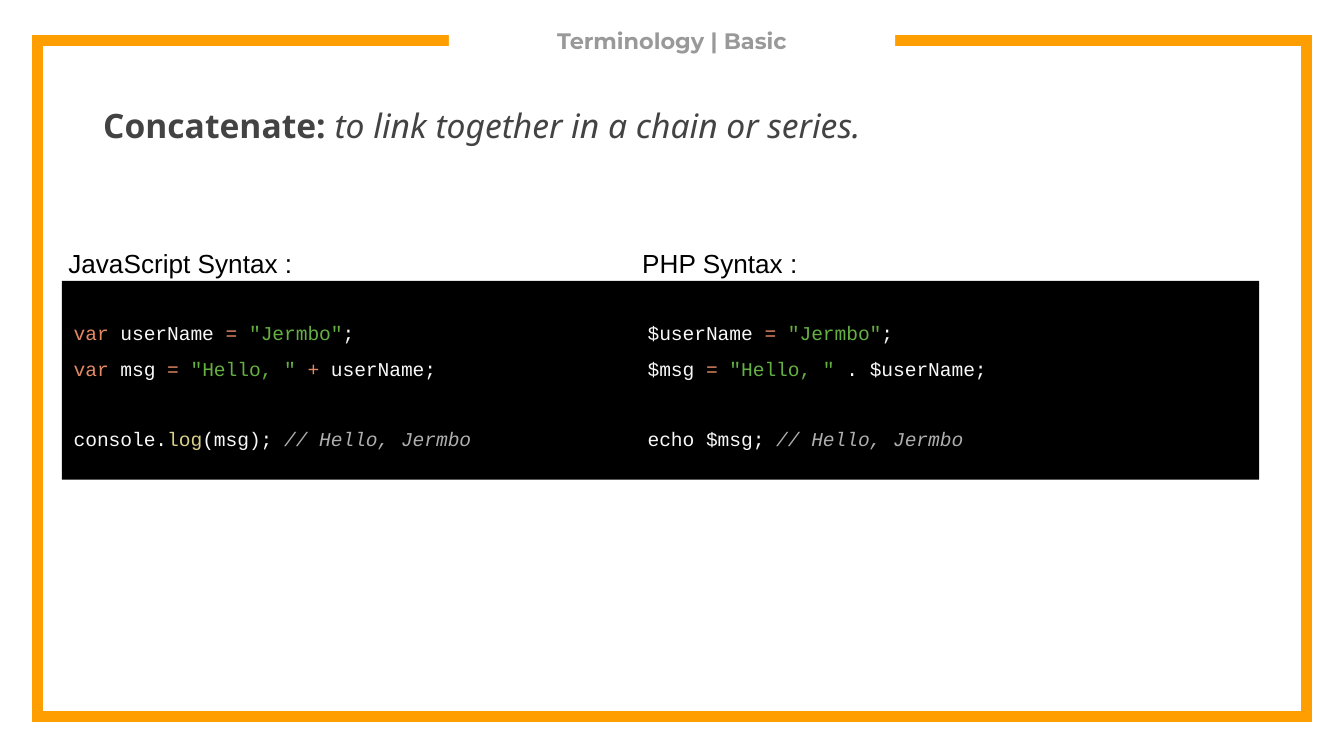
from lxml.etree import SubElement
from pptx import Presentation
from pptx.dml.color import RGBColor
from pptx.enum.shapes import MSO_SHAPE
from pptx.enum.text import PP_ALIGN
from pptx.oxml.ns import qn
from pptx.util import Inches, Pt

COLORS = {
    "frame": "FF9E00", "white": "FFFFFF", "black": "000000",
    "title": "999999", "body": "434343",
    "key": "E28964", "plain": "F8F8F8", "text": "65B042",
    "call": "DAD085", "note": "AEAEAE",
}

# Code as (color, text) tokens; a newline is a line break
JS = [
    ("key", "var"), ("plain", " userName "), ("key", "="), ("plain", " "),
    ("text", '"Jermbo"'), ("plain", ";\n"),
    ("key", "var"), ("plain", " msg "), ("key", "="), ("plain", " "),
    ("text", '"Hello, "'), ("plain", " "), ("key", "+"),
    ("plain", " userName;\n\nconsole."), ("call", "log"),
    ("plain", "(msg); "), ("note", "// Hello, Jermbo"),
]
PHP = [
    ("plain", "$userName "), ("key", "="), ("plain", " "),
    ("text", '"Jermbo"'), ("plain", ";\n$msg "), ("key", "="),
    ("plain", " "), ("text", '"Hello, "'),
    ("plain", " . $userName;\n\necho $msg; "), ("note", "// Hello, Jermbo"),
]
MONO, SIZE = "Courier New", 10.5


def color(name):
    return RGBColor.from_string(COLORS[name])


def add_run(para, text, font, size, tint, bold=False, italic=False):
    run = para.add_run()
    run.text = text
    run.font.name = font
    run.font.size = Pt(size)
    run.font.color.rgb = color(tint)
    run.font.bold = bold
    run.font.italic = italic


def add_break(para):
    para.add_line_break()
    props = SubElement(para._p[-1], qn("a:rPr"), sz=str(int(SIZE * 100)))
    SubElement(props, qn("a:latin"), typeface=MONO)


def add_box(slide, *place):
    frame = slide.shapes.add_textbox(*map(Inches, place)).text_frame
    frame.word_wrap = True
    frame.margin_left = frame.margin_right = Inches(0.1)
    frame.margin_top = frame.margin_bottom = Inches(0.1)
    return frame


def add_rect(slide, fill, *place):
    rect = slide.shapes.add_shape(MSO_SHAPE.RECTANGLE, *map(Inches, place))
    rect.shadow.inherit = False
    rect.fill.solid()
    rect.fill.fore_color.rgb = color(fill)
    rect.line.fill.background()
    return rect


def add_frame(slide):
    points = [(3.4, 0.3), (0.28, 0.3), (0.28, 5.33),
              (9.72, 5.33), (9.72, 0.3), (6.61, 0.3)]
    points = [(Inches(x), Inches(y)) for x, y in points]
    pen = slide.shapes.build_freeform(*points[0])
    pen.add_line_segments(points[1:], close=False)
    shape = pen.convert_to_shape()
    shape.shadow.inherit = False
    shape.fill.background()
    shape.line.color.rgb = color("frame")
    shape.line.width = Pt(6)
    # Sharp corners
    line = shape._element.spPr.find(qn("a:ln"))
    SubElement(line, qn("a:miter"), lim="800000")


def add_code(slide, left, width, head, tokens):
    frame = add_box(slide, left, 1.74, width, 1.95)
    add_run(frame.paragraphs[0], head, "Arial", 14, "black")
    para = frame.add_paragraph()
    para.line_spacing = 1.5
    para.space_before = Pt(16.5)
    props = para._p.get_or_add_pPr()
    props.set("marL", str(Inches(0.04)))
    props.set("indent", "0")
    for tint, text in tokens:
        for row, part in enumerate(text.split("\n")):
            if row:
                add_break(para)
            if part:
                add_run(para, part, MONO, SIZE, tint, italic=tint == "note")


def main():
    deck = Presentation()
    deck.slide_width = Inches(10)
    deck.slide_height = deck.slide_width * 9 // 16
    slide = deck.slides.add_slide(deck.slide_layouts[6])

    # Border with a gap for the title
    add_frame(slide)
    place = (3.34, 0.1, 3.32, 0.51)
    add_rect(slide, "white", *place)
    para = add_box(slide, *place).paragraphs[0]
    para.alignment = PP_ALIGN.CENTER
    add_run(para, "Terminology | Basic", "Montserrat", 12, "title", bold=True)

    # Definition
    para = add_box(slide, 0.67, 0.68, 8, 0.78).paragraphs[0]
    para.space_before = Pt(6)
    add_run(para, "Concatenate: ", "Noto Sans", 18, "body", bold=True)
    add_run(para, "to link together in a chain or series.",
            "Noto Sans", 18, "body", italic=True)

    # Code panel with two samples
    add_rect(slide, "black", 0.46, 2.09, 8.91, 1.48)
    add_code(slide, 0.41, 3.54, "JavaScript Syntax :", JS)
    add_code(slide, 4.68, 4.49, "PHP Syntax :", PHP)

    deck.save("out.pptx")


if __name__ == "__main__":
    main()
